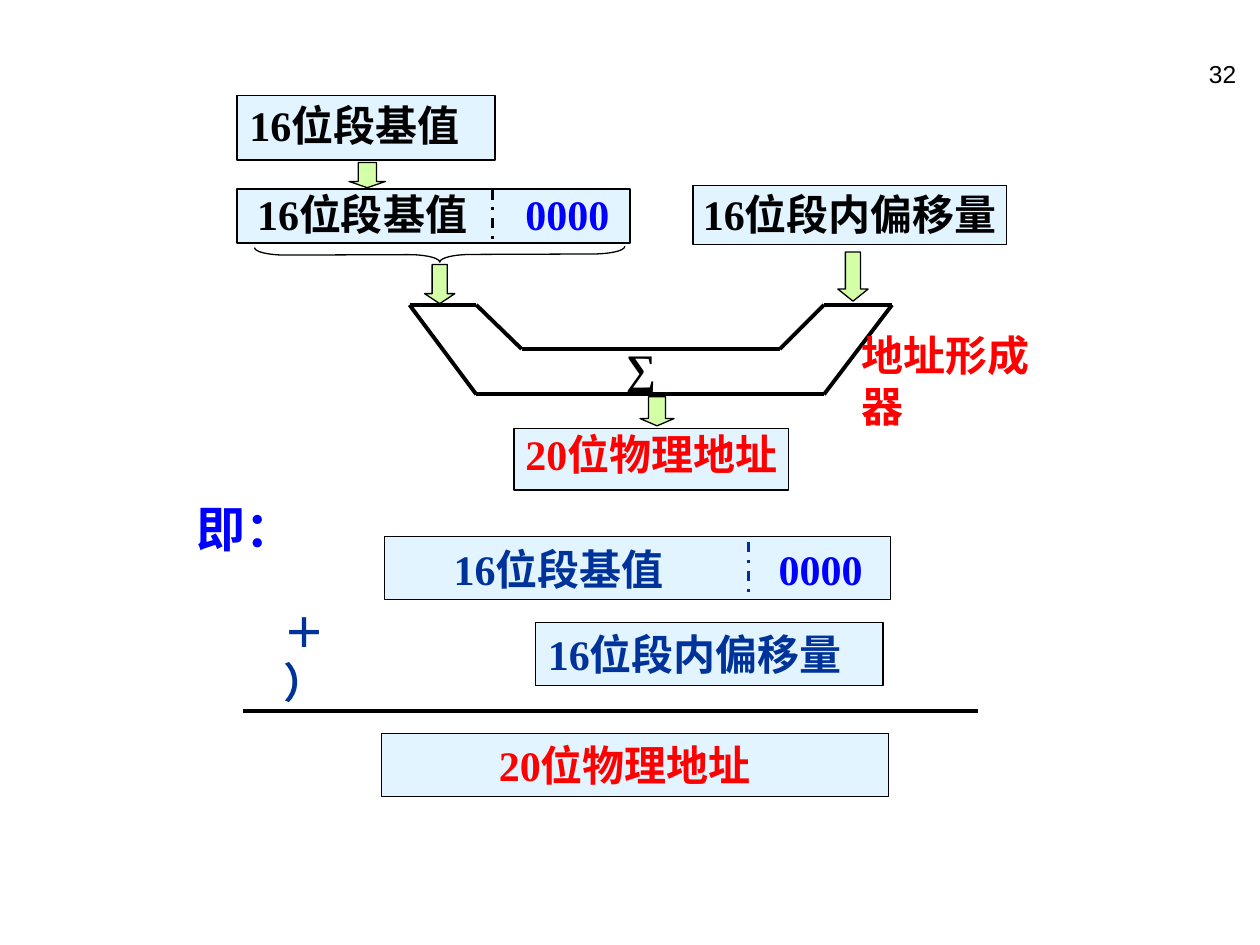
from dataclasses import dataclass

from lxml import etree
from pptx import Presentation
from pptx import util as u
from pptx.dml.color import RGBColor
from pptx.enum import dml, shapes, text
from pptx.oxml import ns

LEFT, CENTER, RIGHT = text.PP_ALIGN.LEFT, text.PP_ALIGN.CENTER, text.PP_ALIGN.RIGHT
TOP, MIDDLE = text.MSO_ANCHOR.TOP, text.MSO_ANCHOR.MIDDLE


@dataclass(frozen=True)
class Theme:
    serif: str = "Times New Roman"
    sans: str = "Arial"
    black: str = "000000"
    navy: str = "003399"
    blue: str = "0000FF"
    red: str = "FF0000"
    register: str = "E1F4FF"
    arrow: str = "D3FFA7"
    body: int = 24
    lead: int = 28
    page: int = 14
    thin: float = 0.75
    dash: float = 1.5
    thick: float = 2.25


THEME = Theme()


def rgb(code):
    return RGBColor.from_string(code)


def inches(values):
    return [u.Inches(value) for value in values]


def write(holder, words, color, align=LEFT, anchor=TOP, insets=(0.1, 0.05, 0.1, 0.05),
          wrap=True, size=THEME.body, font=THEME.serif, bold=True, low_bits=None, tab=0):
    """Fill a text frame; low_bits is a second blue part placed at a tab stop."""
    frame = holder.text_frame
    frame.word_wrap = wrap
    frame.vertical_anchor = anchor
    (frame.margin_left, frame.margin_top,
     frame.margin_right, frame.margin_bottom) = inches(insets)
    line = frame.paragraphs[0]
    line.alignment = align
    line.add_run().text = words
    if low_bits:
        stops = etree.SubElement(line._p.get_or_add_pPr(), ns.qn("a:tabLst"))
        etree.SubElement(stops, ns.qn("a:tab"), pos=str(u.Inches(tab)), algn="l")
        line.runs[0].text = words + "\t"
        zeros = line.add_run()
        zeros.text = low_bits
        zeros.font.color.rgb = rgb(THEME.blue)
        line.runs[0].font.color.rgb = rgb(color)
    else:
        line.font.color.rgb = rgb(color)
    line.font.size = u.Pt(size)
    line.font.name = font
    line.font.bold = bold


def add_outlined(slide, kind, box, fill=None):
    shape = slide.shapes.add_shape(kind, *inches(box))
    shape.shadow.inherit = False
    if fill:
        shape.fill.solid()
        shape.fill.fore_color.rgb = rgb(fill)
    else:
        shape.fill.background()
    shape.line.color.rgb = rgb(THEME.black)
    shape.line.width = u.Pt(THEME.thin)
    return shape


def add_register(slide, box, words, color, **style):
    register = add_outlined(slide, shapes.MSO_SHAPE.RECTANGLE, box, THEME.register)
    write(register, words, color, **style)


def add_label(slide, box, words, color, **style):
    write(slide.shapes.add_textbox(*inches(box)), words, color, **style)


def add_flow_arrow(slide, box, head):
    arrow = add_outlined(slide, shapes.MSO_SHAPE.DOWN_ARROW, box, THEME.arrow)
    arrow.adjustments[0] = 0.5
    arrow.adjustments[1] = head


def add_line(slide, start, end, color=THEME.black, width=THEME.thick, dashed=False):
    line = slide.shapes.add_connector(shapes.MSO_CONNECTOR.STRAIGHT, *inches(start + end))
    line.line.color.rgb = rgb(color)
    line.line.width = u.Pt(width)
    if dashed:
        line.line.dash_style = dml.MSO_LINE.DASH_DOT
    etree.SubElement(line._element.spPr, ns.qn("a:effectLst"))


def add_bit_divider(slide, x, top, bottom, color):
    add_line(slide, (x, top), (x, bottom), color, THEME.dash, dashed=True)


def add_adder(slide):
    corners = [(3.25, 2.42), (3.78, 2.42), (4.14, 2.77), (6.19, 2.77),
               (6.54, 2.42), (7.08, 2.42), (6.54, 3.13), (3.78, 3.13)]
    for start, end in zip(corners, corners[1:] + corners[:1]):
        add_line(slide, start, end)
    add_label(slide, (4.87, 2.67, 1.16, 0.41), "∑", THEME.black)
    add_label(slide, (6.74, 2.57, 1.86, 0.5), "地址形成器", THEME.red, wrap=False)


def add_brace(slide):
    brace = add_outlined(slide, shapes.MSO_SHAPE.LEFT_BRACE, (3.43, 0.55, 0.12, 2.94))
    brace.adjustments[0] = 2.08
    brace.rotation = 269.8


def add_sum(slide):
    add_label(slide, (1.46, 3.91, 0.97, 0.57), "即：", THEME.blue,
              size=THEME.lead, wrap=False)
    add_register(slide, (3.05, 4.26, 4.02, 0.5), "16位段基值", THEME.navy, anchor=MIDDLE,
                 insets=(0.55, 0.05, 0.1, 0.05), low_bits="0000", tab=2.58)
    add_bit_divider(slide, 5.94, 4.3, 4.74, THEME.navy)
    add_register(slide, (4.25, 4.94, 2.76, 0.5), "16位段内偏移量", THEME.navy, anchor=MIDDLE)
    add_label(slide, (1.99, 4.96, 0.86, 0.5), "＋）", THEME.navy,
              align=CENTER, anchor=MIDDLE, wrap=False)
    add_line(slide, (1.93, 5.64), (7.76, 5.64))
    add_register(slide, (3.03, 5.82, 4.02, 0.5), "20位物理地址", THEME.red, align=CENTER,
                 anchor=MIDDLE, insets=(0.1, 0.05, 0.26, 0.05))


def add_flow(slide):
    # Segment base, shifted base and offset
    add_register(slide, (1.88, 0.76, 2.05, 0.51), "16位段基值", THEME.black,
                 insets=(0.1, 0.03, 0.1, 0))
    add_register(slide, (5.5, 1.47, 2.49, 0.47), "16位段内偏移量", THEME.black,
                 align=CENTER, insets=(0, 0.03, 0, 0))
    add_register(slide, (1.88, 1.5, 3.12, 0.43), "16位段基值", THEME.black,
                 insets=(0.16, 0, 0.1, 0), low_bits="0000", tab=2.13)
    add_bit_divider(slide, 3.91, 1.5, 1.93, THEME.black)
    add_brace(slide)

    # Adder and physical address
    add_adder(slide)
    add_register(slide, (4.08, 3.4, 2.18, 0.49), "20位物理地址", THEME.red,
                 align=CENTER, insets=(0, 0, 0, 0))

    # Arrows between the stages
    for box, head in [((2.77, 1.29, 0.29, 0.2), 0.25), ((6.65, 2, 0.24, 0.39), 0.4),
                      ((3.37, 2.1, 0.24, 0.31), 0.33), ((5.08, 3.15, 0.27, 0.23), 0.25)]:
        add_flow_arrow(slide, box, head)


def main():
    deck = Presentation()
    deck.slide_width, deck.slide_height = inches((10, 7.5))
    slide = deck.slides.add_slide(deck.slide_layouts[6])

    add_sum(slide)
    add_flow(slide)

    # Page number
    add_label(slide, (7.83, 0.42, 2.08, 0.5), "32", THEME.black, align=RIGHT,
              size=THEME.page, font=THEME.sans, bold=False)
    deck.save("out.pptx")


if __name__ == "__main__":
    main()
